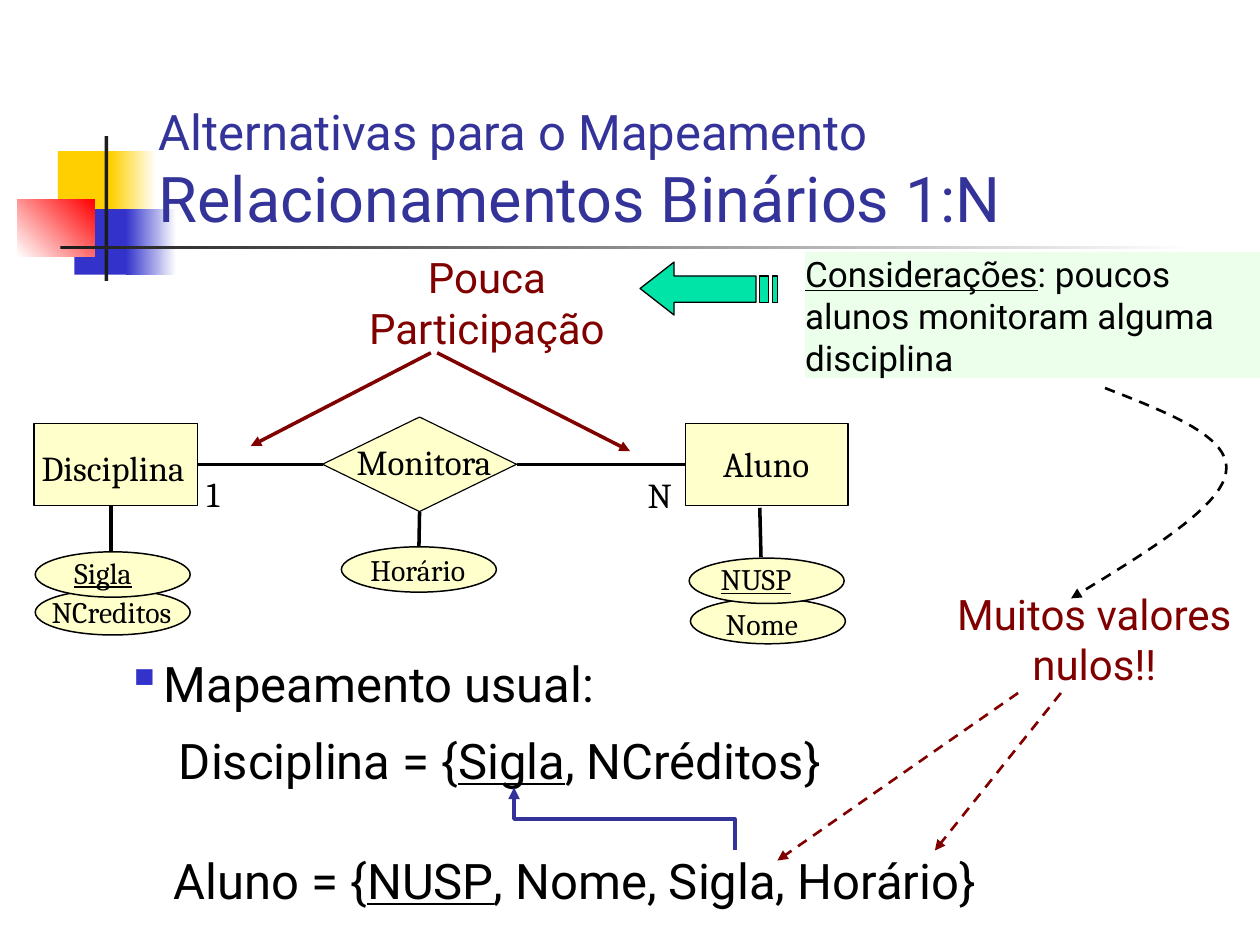
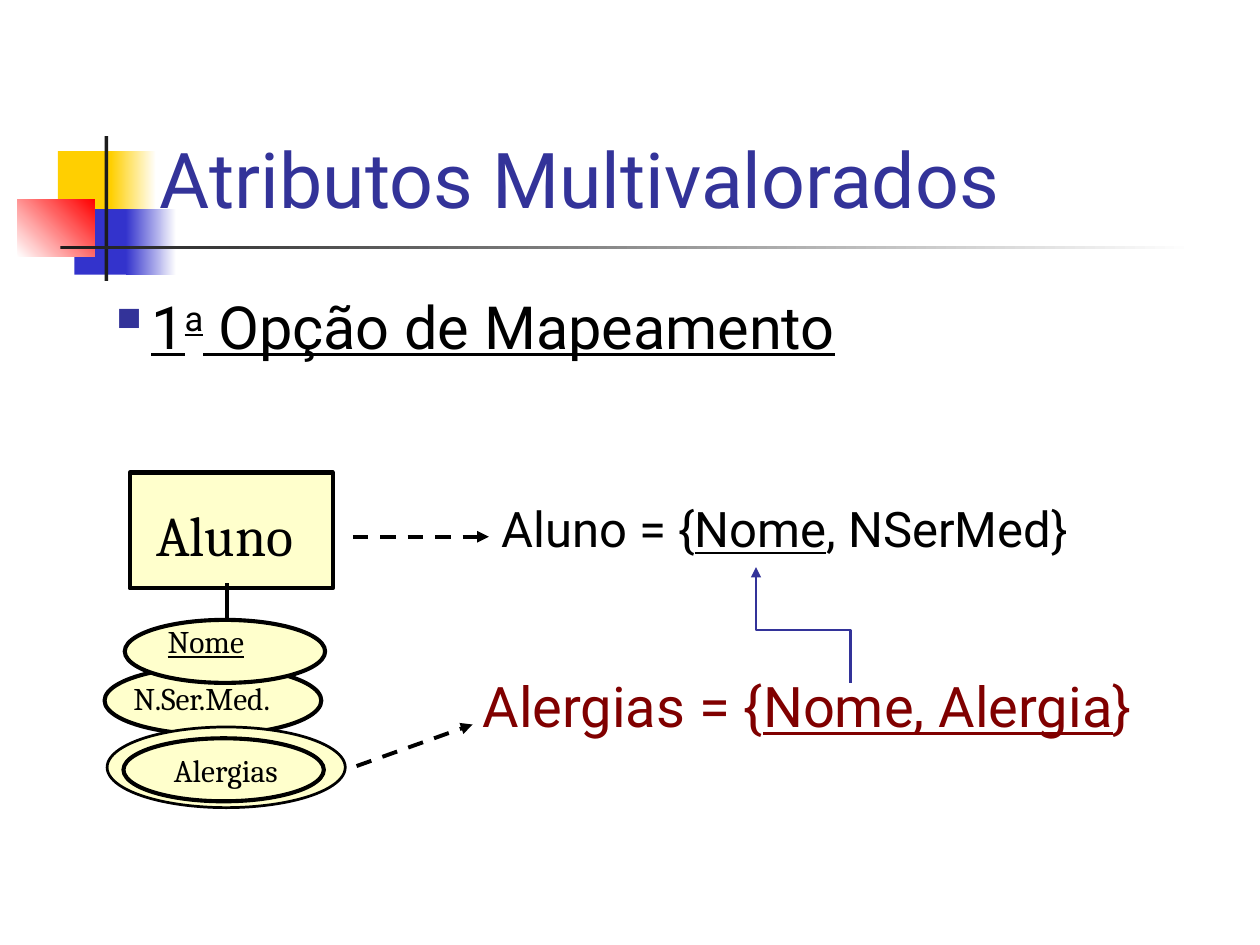
from lxml import etree
from pptx import Presentation
from pptx.dml.color import RGBColor
from pptx.enum.dml import MSO_LINE_DASH_STYLE as Dash
from pptx.enum.shapes import MSO_CONNECTOR as Conn, MSO_SHAPE as Kind
from pptx.enum.text import MSO_ANCHOR as Anchor, PP_ALIGN as Align
from pptx.oxml.ns import qn
from pptx.util import Inches, Pt

WHITE = RGBColor(0xFF, 0xFF, 0xFF)
BLACK = RGBColor(0, 0, 0)
GOLD = RGBColor(0xFF, 0xCF, 0x01)
BLUE = RGBColor(0x33, 0x33, 0xCC)
RED = RGBColor(0xFF, 0, 0)
DARK = RGBColor(0x1C, 0x1C, 0x1C)
NAVY = RGBColor(0x33, 0x33, 0x99)
WINE = RGBColor(0x80, 0, 0)
CREAM = RGBColor(0xFF, 0xFF, 0xCC)
MINT = RGBColor(0xEB, 0xFF, 0xEB)
GREEN = RGBColor(0x00, 0xE4, 0xA8)
SANS, SERIF = "Roboto", "Cambria"


def draw(slide, kind, box, fill, width=0):
    shape = slide.shapes.add_shape(kind, *map(Inches, box))
    shape.shadow.inherit = False
    shape.fill.solid()
    shape.fill.fore_color.rgb = fill
    if width:
        shape.line.color.rgb = BLACK
        shape.line.width = Pt(width)
    else:
        shape.line.fill.background()
    return shape


def write(slide, box, lines, size, color=BLACK, face=SANS, pad=0):
    area = slide.shapes.add_textbox(*map(Inches, box))
    frame = area.text_frame
    frame.word_wrap = True
    frame.margin_left = frame.margin_right = Inches(pad)
    frame.margin_top = frame.margin_bottom = Inches(pad / 2)
    for i, line in enumerate(lines):
        para = frame.add_paragraph() if i else frame.paragraphs[0]
        for j, part in enumerate(line.split("_")):
            if part:
                run = para.add_run()
                run.text = part
                run.font.size = Pt(size)
                run.font.name = face
                run.font.color.rgb = color
                run.font.underline = j % 2 == 1
    return area


prs = Presentation()
prs.slide_width, prs.slide_height = Inches(10), Inches(7.5)
binary, multi = [prs.slides.add_slide(prs.slide_layouts[6]) for _ in range(2)]

BANDS = [
    ((0.46, 1.2, 0.48, 0.52), GOLD, None, 0),
    ((0.88, 1.2, 0.36, 0.52), GOLD, WHITE, 0),
    ((0.59, 1.66, 0.46, 0.52), BLUE, None, 0),
    ((1, 1.66, 0.4, 0.52), BLUE, WHITE, 0),
    ((0.14, 1.58, 0.61, 0.46), WHITE, RED, 45),
    ((0.83, 1.08, 0.03, 1.15), DARK, None, 0),
    ((0.48, 1.95, 9, 0.03), DARK, WHITE, 0),
]
for slide in (binary, multi):
    for box, start, end, angle in BANDS:
        band = draw(slide, Kind.RECTANGLE, box, start)
        if end is not None:
            band.fill.gradient()
            band.fill.gradient_angle = angle
            for stop, color in zip(band.fill.gradient_stops, (start, end)):
                stop.color.rgb = color

title = write(binary, (1.26, 0.67, 7.74, 1.2),
              ["Alternativas para o Mapeamento", "Relacionamentos Binários 1:N"], 28, NAVY)
title.text_frame.paragraphs[1].runs[0].font.size = Pt(36)
title.text_frame.vertical_anchor = Anchor.BOTTOM
title = write(multi, (1.17, 1.08, 8.42, 0.75), ["Atributos Multivalorados"], 44, NAVY, pad=0.1)
title.text_frame.vertical_anchor = Anchor.BOTTOM

course = draw(binary, Kind.RECTANGLE, (0.27, 3.36, 1.3, 0.65), CREAM, 0.65)
pupil = draw(binary, Kind.RECTANGLE, (5.44, 3.36, 1.29, 0.65), CREAM, 0.65)
link = draw(binary, Kind.DIAMOND, (2.56, 3.31, 1.54, 0.75), CREAM, 0.65)
for x, y in [(5.48, 4.75), (0.28, 4.68), (0.28, 4.38), (5.47, 4.43), (2.71, 4.34)]:
    oval = draw(binary, Kind.OVAL, (x, y, 1.23, 0.36), CREAM, 0.85)
hour = oval

draw(multi, Kind.RECTANGLE, (1.03, 3.75, 1.61, 0.92), CREAM, 2.35)
for box, width in [
    ((0.83, 5.29, 1.72, 0.54), 2.35),
    ((0.85, 5.77, 1.89, 0.64), 1.56),
    ((0.98, 5.86, 1.59, 0.5), 2.35),
    ((0.99, 4.92, 1.59, 0.5), 2.35),
]:
    draw(multi, Kind.OVAL, box, CREAM, width)

for slide, x, y, width, size, label in [
    (binary, 0.33, 3.54, 1.27, 20, "Disciplina"),
    (binary, 5.74, 3.51, 0.97, 20, "Aluno"),
    (binary, 2.83, 3.5, 1.43, 20, "Monitora"),
    (binary, 1.64, 3.75, 0.78, 20, "1"),
    (binary, 5.14, 3.76, 0.78, 20, "N"),
    (binary, 0.41, 4.71, 1.07, 17, "NCreditos"),
    (binary, 5.76, 4.81, 0.82, 17, "Nome"),
    (binary, 0.59, 4.4, 0.82, 17, "_Sigla_"),
    (binary, 5.72, 4.45, 0.82, 17, "_NUSP_"),
    (binary, 2.94, 4.38, 0.82, 17, "Horário"),
    (multi, 1.06, 5.39, 1.64, 18, "N.Ser.Med."),
    (multi, 1.38, 5.96, 1.01, 18, "Alergias"),
    (multi, 1.24, 3.97, 1.19, 32, "Aluno"),
    (multi, 1.33, 4.94, 0.97, 18, "_Nome_"),
]:
    write(slide, (x, y, width, 0.33), [label], size, face=SERIF)

note = write(binary, (6.39, 2, 3.61, 1),
             ["_Considerações_: poucos alunos monitoram alguma disciplina"], 20)
note.fill.solid()
note.fill.fore_color.rgb = MINT
for box, claim in [
    ((2.83, 2, 2.07, 0.8), "Pouca Participação"),
    ((7.5, 4.67, 2.37, 0.8), "Muitos valores nulos!!"),
]:
    area = write(binary, box, [claim], 24, WINE)
    area.text_frame.paragraphs[0].alignment = Align.CENTER

body = write(binary, (1, 5.19, 7.78, 2), [
    "Mapeamento usual:",
    "Disciplina = {_Sigla_, NCréditos}",
    "Aluno = {_NUSP_, Nome, Sigla, Horário}",
], 28)
first, second, third = body.text_frame.paragraphs
for para, left, gap in [(second, 0.42, 10), (third, 0.38, 35)]:
    para.space_before = Pt(gap)
    para._p.get_or_add_pPr().set("marL", str(Inches(left)))

write(multi, (3.98, 3.96, 5.11, 0.47), ["Aluno = {_Nome_, NSerMed}"], 28)
write(multi, (3.83, 5.33, 5.42, 1.07), ["Alergias = {_Nome, Alergia_}"], 32, WINE)
head = write(multi, (0.75, 2.25, 6.29, 0.67), ["_1__a__ Opção de Mapeamento_"], 34, pad=0.1)
head.text_frame.word_wrap = False
option = head.text_frame.paragraphs[0]
option.runs[1]._r.get_or_add_rPr().set("baseline", "30000")

for para, left, color in [(first, 0.3, BLUE), (option, 0.33, NAVY)]:
    props = para._p.get_or_add_pPr()
    props.set("marL", str(Inches(left)))
    props.set("indent", str(-Inches(left)))
    tint = etree.SubElement(props, qn("a:buClr"))
    etree.SubElement(tint, qn("a:srgbClr")).set("val", str(color))
    etree.SubElement(props, qn("a:buChar")).set("char", "▪")

arrow = binary.shapes.build_freeform(Inches(5.08), Inches(2.29), 1.0)
tip = [(5.35, 2.08), (5.35, 2.19), (6, 2.19), (6, 2.4), (5.35, 2.4), (5.35, 2.5)]
arrow.add_line_segments([(Inches(x), Inches(y)) for x, y in tip])
for left, right in [(6.03, 6.1), (6.13, 6.17)]:
    arrow.move_to(Inches(left), Inches(2.19))
    stripe = [(right, 2.19), (right, 2.4), (left, 2.4)]
    arrow.add_line_segments([(Inches(x), Inches(y)) for x, y in stripe])
arrow = arrow.convert_to_shape()
arrow.shadow.inherit = False
arrow.fill.solid()
arrow.fill.fore_color.rgb = GREEN
arrow.line.color.rgb = BLACK
arrow.line.width = Pt(0.75)

wires = []
for slide, ends, color, width, dash, tip in [
    (binary, (1.57, 3.69, 2.56, 3.69), BLACK, 2, False, False),
    (binary, (4.1, 3.69, 5.44, 3.69), BLACK, 2, False, False),
    (binary, (3.33, 4.06, 3.33, 4.34), BLACK, 2, False, False),
    (binary, (0.88, 4.02, 0.88, 4.38), BLACK, 2, False, False),
    (binary, (6.03, 4.03, 6.04, 4.42), BLACK, 2, False, False),
    (binary, (3.42, 2.8, 1.99, 3.54), WINE, 2, False, True),
    (binary, (3.47, 2.8, 5, 3.58), WINE, 2, False, True),
    (binary, (8.08, 5.5, 6.17, 6.83), WINE, 1.5, True, True),
    (binary, (8.42, 5.5, 7.42, 6.75), WINE, 1.5, True, True),
    (multi, (1.8, 4.63, 1.8, 4.93), BLACK, 2, False, False),
    (multi, (2.8, 4.26, 3.88, 4.26), BLACK, 2.25, True, True),
    (multi, (2.83, 6.08, 3.75, 5.75), BLACK, 2.25, True, True),
]:
    wire = slide.shapes.add_connector(Conn.STRAIGHT, *map(Inches, ends))
    wires.append((wire, color, width, dash, tip))

for item, start, side, end, goal in [
    (wires[0], course, 3, link, 1),
    (wires[1], link, 3, pupil, 1),
    (wires[2], link, 2, hour, 0),
]:
    item[0].begin_connect(start, side)
    item[0].end_connect(end, goal)

curve = []
for i in range(21):
    t = i / 20
    mix = ((1 - t) ** 3, 3 * t * (1 - t) ** 2, 3 * t * t * (1 - t), t ** 3)
    curve.append([sum(m * v for m, v in zip(mix, axis)) for axis in
                  ((8.77, 9.28, 9.78, 9.73), (3.08, 3.28, 3.47, 3.75))])
for i in range(1, 21):
    t = i / 20
    mix = ((1 - t) ** 3, 3 * t * (1 - t) ** 2, 3 * t * t * (1 - t), t ** 3)
    curve.append([sum(m * v for m, v in zip(mix, axis)) for axis in
                  ((9.73, 9.69, 9.09, 8.5), (3.75, 4.03, 4.39, 4.75))])

for slide, dots, color, width, dash in [
    (binary, curve, BLACK, 1.5, True),
    (binary, [(5.83, 6.75), (5.83, 6.5), (4.08, 6.5), (4.08, 6.25)], NAVY, 2.25, False),
    (multi, [(6.75, 5.42), (6.75, 5), (6, 5), (6, 4.5)], NAVY, 1.5, False),
]:
    dots = [(Inches(x), Inches(y)) for x, y in dots]
    route = slide.shapes.build_freeform(*dots[0], 1.0)
    route.add_line_segments(dots[1:], close=False)
    route = route.convert_to_shape()
    route.fill.background()
    wires.append((route, color, width, dash, True))

for wire, color, width, dash, tip in wires:
    wire.line.color.rgb = color
    wire.line.width = Pt(width)
    if dash:
        wire.line.dash_style = Dash.DASH
    if tip:
        etree.SubElement(wire.line._get_or_add_ln(), qn("a:tailEnd")).set("type", "triangle")
    etree.SubElement(wire._element.spPr, qn("a:effectLst"))

prs.save("out.pptx")
